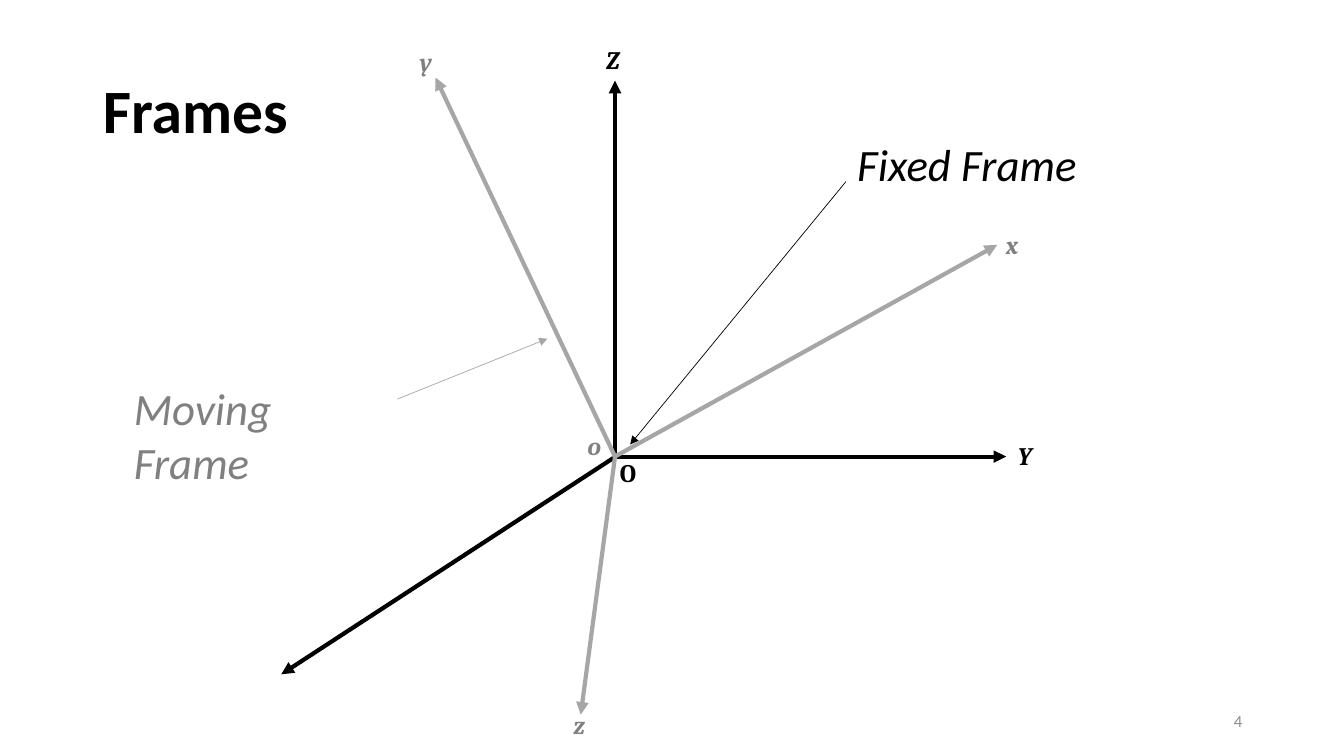
from typing import NamedTuple

from lxml.etree import SubElement
from pptx import Presentation
from pptx.dml.color import RGBColor
from pptx.enum.shapes import MSO_CONNECTOR
from pptx.enum.text import MSO_ANCHOR, PP_ALIGN
from pptx.oxml.ns import qn
from pptx.slide import Slide
from pptx.text.text import TextFrame
from pptx.util import Emu, Pt

SCALE = 9144  # EMU per px, 100 px to the inch

BLACK = RGBColor(0x00, 0x00, 0x00)
WHITE = RGBColor(0xFF, 0xFF, 0xFF)
GREY = RGBColor(0x80, 0x80, 0x80)
PALE = RGBColor(0xA6, 0xA6, 0xA6)
FAINT = RGBColor(0x8C, 0x8C, 0x8C)


class Arrow(NamedTuple):
    start: tuple[int, int]
    end: tuple[int, int]
    color: RGBColor
    width: float = 3


class Label(NamedTuple):
    text: str
    box: tuple[int, int, int, int]
    color: RGBColor
    size: int = 18
    font: str = "Cambria"
    bold: bool = True
    slant: bool = True
    align: PP_ALIGN = PP_ALIGN.CENTER
    anchor: MSO_ANCHOR = MSO_ANCHOR.TOP
    wrap: bool = False
    edge: RGBColor | None = None


ARROWS = [
    # Fixed axes and their pointer
    Arrow((609, 453), (998, 453), BLACK),
    Arrow((610, 454), (610, 80), BLACK),
    Arrow((609, 454), (279, 669), BLACK),
    Arrow((840, 179), (625, 441), BLACK, 0.5),
    # Moving axes and their pointer
    Arrow((610, 453), (432, 77), PALE),
    Arrow((608, 454), (989, 243), PALE),
    Arrow((610, 453), (576, 709), PALE),
    Arrow((394, 396), (543, 336), PALE, 0.5),
]

LABELS = [
    # Fixed frame
    Label("Y", (999, 432, 35, 40), BLACK),
    Label("Z", (591, 39, 34, 40), BLACK),
    Label("O", (604, 449, 38, 40), BLACK, slant=False),
    Label("Fixed Frame", (840, 131, 238, 64), BLACK, 32, "Calibri", False,
          edge=WHITE),
    # Moving frame
    Label("o", (572, 422, 35, 40), GREY),
    Label("x", (988, 223, 32, 40), GREY),
    Label("y", (406, 41, 33, 40), GREY),
    Label("z", (558, 699, 33, 40), GREY),
    Label("Moving\nFrame", (123, 373, 280, 117), GREY, 32, "Calibri", False,
          align=PP_ALIGN.LEFT, wrap=True),
    # Slide number
    Label("4", (942, 695, 300, 40), FAINT, 12, "Calibri", False, False,
          PP_ALIGN.RIGHT, MSO_ANCHOR.MIDDLE, True),
]

TITLE = Label("Frames", (92, 40, 1150, 145), BLACK, 44, "Calibri", True, False,
              PP_ALIGN.LEFT, MSO_ANCHOR.MIDDLE, True)


def px(*vals: int) -> list[Emu]:
    return [Emu(val * SCALE) for val in vals]


def write(frame: TextFrame, label: Label) -> None:
    frame.word_wrap = label.wrap
    frame.vertical_anchor = label.anchor
    para = frame.paragraphs[0]
    para.alignment = label.align
    for row, text in enumerate(label.text.split("\n")):
        if row:
            para.add_line_break()
        run = para.add_run()
        run.text = text
        font = run.font
        font.name, font.size = label.font, Pt(label.size)
        font.bold, font.italic = label.bold, label.slant
        font.color.rgb = label.color


def add_title(slide: Slide, label: Label) -> None:
    title = slide.shapes.title
    title.left, title.top, title.width, title.height = px(*label.box)
    write(title.text_frame, label)
    title.text_frame.paragraphs[0].line_spacing = 0.9


def add_arrow(slide: Slide, arrow: Arrow) -> None:
    line = slide.shapes.add_connector(
        MSO_CONNECTOR.STRAIGHT, *px(*arrow.start, *arrow.end))
    line.line.color.rgb = arrow.color
    line.line.width = Pt(arrow.width)
    SubElement(line.line._get_or_add_ln(), qn("a:tailEnd"), type="triangle")
    SubElement(line._element.spPr, qn("a:effectLst"))


def add_label(slide: Slide, label: Label) -> None:
    box = slide.shapes.add_textbox(*px(*label.box))
    if label.edge is not None:
        box.line.color.rgb = label.edge
        box.line.width = Pt(0.75)
    write(box.text_frame, label)


def main() -> None:
    deck = Presentation()
    deck.slide_width, deck.slide_height = px(1333, 750)
    slide = deck.slides.add_slide(deck.slide_layouts.get_by_name("Title Only"))
    add_title(slide, TITLE)
    for arrow in ARROWS:
        add_arrow(slide, arrow)
    for label in LABELS:
        add_label(slide, label)
    deck.save("out.pptx")


if __name__ == "__main__":
    main()
